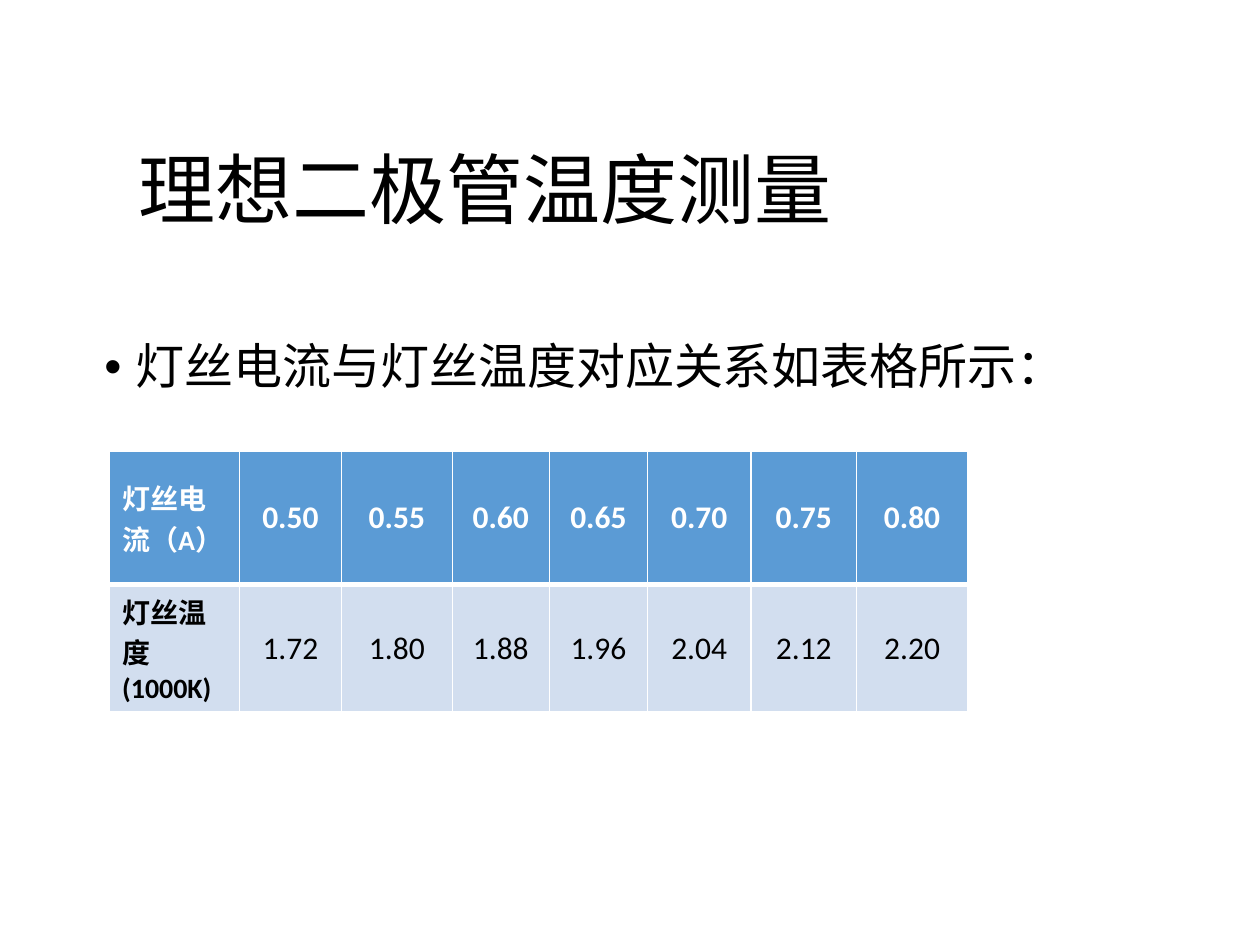
from lxml import etree
from pptx import Presentation
from pptx.dml.color import RGBColor
from pptx.enum import text
from pptx.oxml import ns
from pptx.util import Inches, Pt

BLACK = RGBColor(0, 0, 0)
WHITE = RGBColor(255, 255, 255)
HEADER_BLUE = RGBColor(0x5B, 0x9B, 0xD5)
PALE_BLUE = RGBColor(0xD2, 0xDE, 0xEF)
CJK = "Noto Sans CJK SC"
LATIN = "Calibri"

CURRENTS = ["灯丝电流（A）", "0.50", "0.55", "0.60", "0.65", "0.70", "0.75", "0.80"]
TEMPERATURES = ["灯丝温度(1000K)", "1.72", "1.80", "1.88", "1.96", "2.04", "2.12", "2.20"]
COL_WIDTHS = [1.03, 0.81, 0.88, 0.77, 0.78, 0.82, 0.84, 0.88]
ROW_HEIGHTS = [1.06, 1.01]


def write(tf, content, size, font=CJK, color=BLACK, bold=False, align=None, spacing=None):
    p = tf.paragraphs[0]
    p.alignment = align
    p.line_spacing = spacing
    r = p.add_run()
    r.text = content
    r.font.size = Pt(size)
    r.font.name = font
    r.font.bold = bold
    r.font.color.rgb = color
    etree.SubElement(r.font._element, ns.qn("a:ea"), typeface=CJK)
    return p


def add_box(slide, left, top, width, height, anchor):
    box = slide.shapes.add_textbox(Inches(left), Inches(top), Inches(width), Inches(height))
    tf = box.text_frame
    tf.word_wrap = True
    tf.vertical_anchor = anchor
    return tf


def add_title(slide, left, top, width, height):
    tf = add_box(slide, left, top, width, height, text.MSO_ANCHOR.MIDDLE)
    write(tf, "理想二极管温度测量", 44, spacing=0.9)


def add_body(slide, left, top, width, height):
    tf = add_box(slide, left, top, width, height, text.MSO_ANCHOR.TOP)
    p = write(tf, "灯丝电流与灯丝温度对应关系如表格所示：", 28, spacing=0.9)
    p.space_before = Pt(10)
    pPr = p._p.get_or_add_pPr()
    pPr.set("marL", str(Inches(0.25)))
    pPr.set("indent", str(Inches(-0.25)))
    etree.SubElement(pPr, ns.qn("a:buFont"), typeface="Arial")
    etree.SubElement(pPr, ns.qn("a:buChar"), char="•")


def set_borders(cell, **widths):
    tcPr = cell._tc.get_or_add_tcPr()
    for side in "LRTB":
        ln = etree.SubElement(tcPr, ns.qn("a:ln" + side), w=str(Pt(widths.get(side, 1))))
        fill = etree.SubElement(ln, ns.qn("a:solidFill"))
        etree.SubElement(fill, ns.qn("a:srgbClr"), val=str(WHITE))


def add_data_table(slide, left, top, width, height):
    rows = [CURRENTS, TEMPERATURES]
    table = slide.shapes.add_table(len(rows), len(COL_WIDTHS), Inches(left), Inches(top),
                                   Inches(width), Inches(height)).table
    table.horz_banding = False
    for column, w in zip(table.columns, COL_WIDTHS):
        column.width = Inches(w)
    for row, h in zip(table.rows, ROW_HEIGHTS):
        row.height = Inches(h)
    for i, values in enumerate(rows):
        header = i == 0
        for j, value in enumerate(values):
            label = j == 0
            cell = table.cell(i, j)
            cell.vertical_anchor = text.MSO_ANCHOR.MIDDLE
            set_borders(cell, **({"B": 3} if header else {"T": 3}))
            cell.fill.solid()
            cell.fill.fore_color.rgb = HEADER_BLUE if header else PALE_BLUE
            write(cell.text_frame, value, 16 if label else 18, font=LATIN,
                  color=WHITE if header else BLACK, bold=header or label,
                  align=text.PP_ALIGN.LEFT if label else text.PP_ALIGN.CENTER)


def main():
    prs = Presentation()
    prs.slide_width, prs.slide_height = Inches(10), Inches(7.5)
    slide = prs.slides.add_slide(prs.slide_layouts[6])
    add_title(slide, 1, 0.91, 6.4, 1.25)
    add_data_table(slide, 0.87, 3.58, sum(COL_WIDTHS), sum(ROW_HEIGHTS))
    add_body(slide, 0.73, 2.67, 8.5, 0.62)
    prs.save("out.pptx")


if __name__ == "__main__":
    main()
